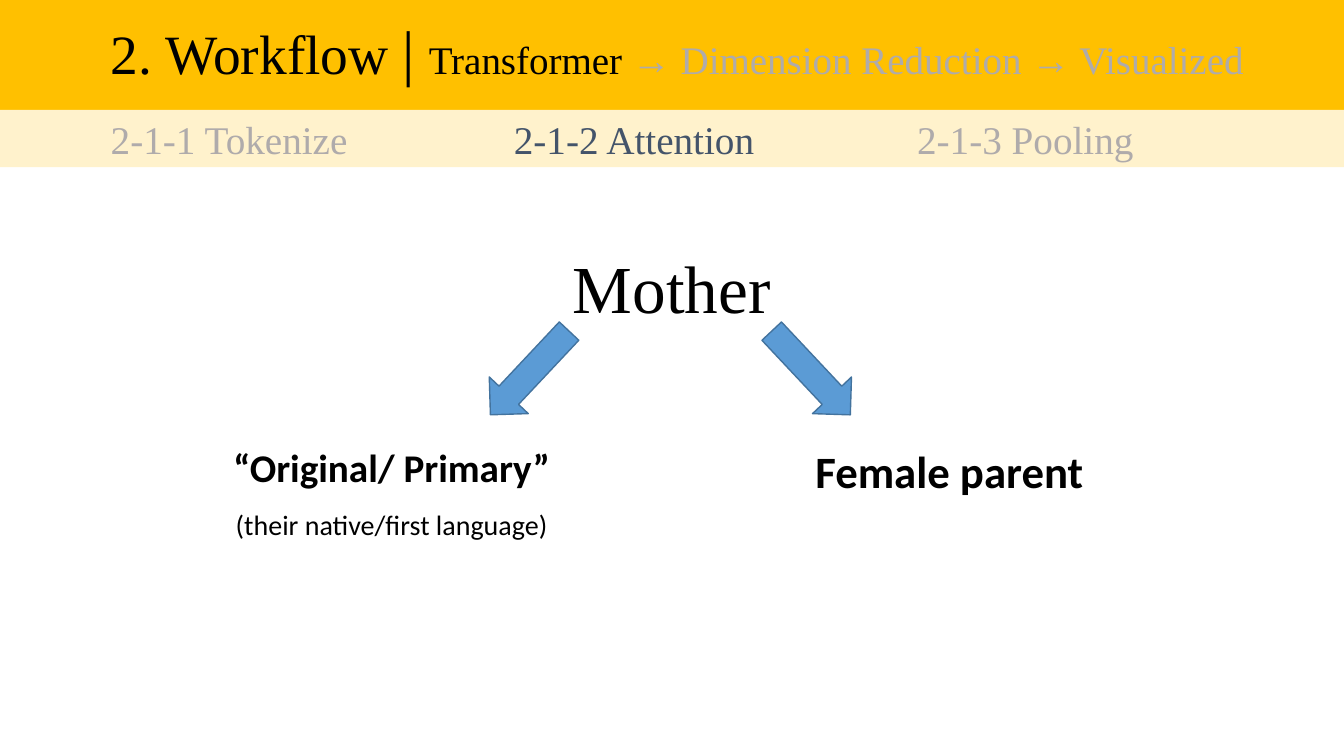
from lxml.etree import SubElement
from pptx import Presentation
from pptx.dml.color import RGBColor
from pptx.enum.shapes import MSO_SHAPE as Shape
from pptx.enum.text import MSO_ANCHOR as Anchor, PP_ALIGN as Align
from pptx.oxml.ns import qn
from pptx.util import Pt

COLORS = {
    "gold": "FFC000",
    "cream": "FFF2CC",
    "black": "000000",
    "gray": "AFABAB",
    "slate": "44546A",
    "blue": "5B9BD5",
    "blue_line": "43739E",
}
SERIF = "Times New Roman"
SANS = "Calibri"


def add_run(paragraph, text, size=28, color="black", font=SERIF, bold=False):
    run = paragraph.add_run()
    run.text = text
    run.font.size = Pt(size)
    run.font.name = font
    run.font.bold = bold
    run.font.color.rgb = RGBColor.from_string(COLORS[color])


def add_filled(kind, left, top, width, height, fill):
    shape = slide.shapes.add_shape(kind, Pt(left), Pt(top), Pt(width), Pt(height))
    shape.shadow.inherit = False
    shape.fill.solid()
    shape.fill.fore_color.rgb = RGBColor.from_string(COLORS[fill])
    shape.line.fill.background()
    return shape


presentation = Presentation()
presentation.slide_width = Pt(960)
presentation.slide_height = Pt(540)
slide = presentation.slides.add_slide(presentation.slide_layouts[6])

bands = []
for top, height, fill in [(0, 78.5, "gold"), (78.5, 41, "cream")]:
    band = add_filled(Shape.RECTANGLE, 0, top, 960, height, fill)
    band.text_frame.vertical_anchor = Anchor.MIDDLE
    paragraph = band.text_frame.paragraphs[0]
    paragraph.alignment = Align.LEFT
    bands.append(band)

title_frame = bands[0].text_frame
title_frame.margin_left = Pt(79.2)
title = title_frame.paragraphs[0]
title.line_spacing = 0.9
add_run(title, "2. Workflow ", size=39.6)
add_run(title, "|", size=44.1)
add_run(title, " ", size=39.6)
add_run(title, "Transformer ", size=27.9)
add_run(title, "→ Dimension Reduction → Visualized", size=27.9, color="gray")

steps = bands[1].text_frame.paragraphs[0]
tab_list = SubElement(steps._p.get_or_add_pPr(), qn("a:tabLst"))
for column, (step, color) in enumerate([
    ("2-1-1 Tokenize", "gray"),
    ("2-1-2 Attention", "slate"),
    ("2-1-3 Pooling", "gray"),
]):
    SubElement(tab_list, qn("a:tab"), pos=str(Pt(72 + 288 * column)), algn="l")
    add_run(steps, "\t" + step, color=color)

meanings = [
    (70.5, 143.3, 818.5, 84, Align.CENTER, [("Mother", 48, SERIF, False, 1.5)]),
    (139, 313.2, 281.5, 73.5, Align.CENTER, [
        ("“Original/ Primary”", 28, SANS, True, 1),
        ("(their native/first language)", 20, SANS, False, 1.5),
    ]),
    (575.3, 313.2, 281.5, 46, Align.LEFT, [("Female parent", 32, SANS, True, 1)]),
]
for left, top, width, height, alignment, lines in meanings:
    box = slide.shapes.add_textbox(Pt(left), Pt(top), Pt(width), Pt(height))
    frame = box.text_frame
    frame.word_wrap = True
    for index, (text, size, font, bold, spacing) in enumerate(lines):
        paragraph = frame.add_paragraph() if index else frame.paragraphs[0]
        paragraph.alignment = alignment
        paragraph.line_spacing = spacing
        add_run(paragraph, text, size=size, font=font, bold=bold)

for left, rotation in [(359.3, 43.2), (560.2, -43.2)]:
    arrow = add_filled(Shape.DOWN_ARROW, left, 225.4, 38.2, 82, "blue")
    arrow.rotation = rotation
    arrow.line.color.rgb = RGBColor.from_string(COLORS["blue_line"])
    arrow.line.width = Pt(1)

presentation.save("out.pptx")
